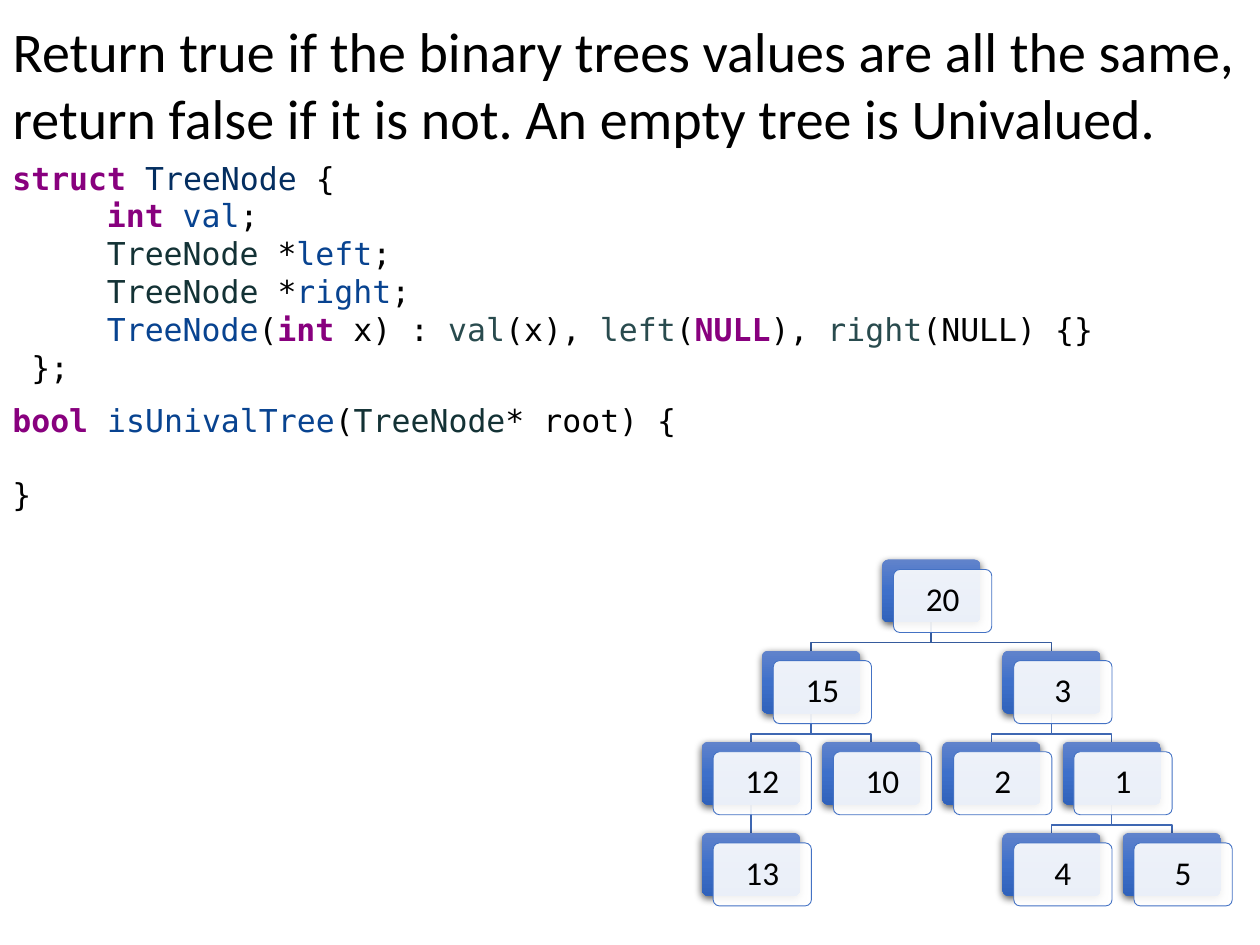
from dataclasses import dataclass
from typing import Optional

from lxml.etree import SubElement
from pptx import Presentation
from pptx.dml.color import RGBColor as RGB
from pptx.enum.shapes import MSO_CONNECTOR as CONN, MSO_SHAPE as SHAPE
from pptx.enum.text import MSO_ANCHOR as ANCHOR, MSO_AUTO_SIZE as FIT, PP_ALIGN as ALIGN
from pptx.oxml.ns import qn
from pptx.util import Inches, Pt


@dataclass(frozen=True)
class Theme:
    body: str = "Calibri"
    mono: str = "DejaVu Sans Mono"
    title_size: int = 32
    code_size: int = 18
    node_size: int = 19
    text: str = "000000"
    keyword: str = "88007E"
    struct: str = "042E60"
    name: str = "084390"
    type: str = "133235"
    init: str = "294B4E"
    card: str = "FFFFFF"
    border: str = "4472C4"
    root_link: str = "365B9D"
    link: str = "3E67B2"
    gradient: tuple = ("6183CB", "3E70CA", "3062BB")


@dataclass(frozen=True)
class Line:
    runs: tuple          # (text, theme colour) pairs
    indent: int = 0      # in characters
    before: int = 0      # in points


@dataclass(frozen=True)
class Node:
    label: str
    col: int
    row: int
    parent: Optional[int] = None


T = Theme()
# Tree grid, in inches
LEFT, TOP = 5.57, 4.44
COL, ROW = 3.34 / 7, 2.17 / 3
NODE_W, NODE_H = 0.78, 0.5
CARD_DX, CARD_DY = 0.09, 0.08
BEND = 0.16
CHAR = 0.15

STRUCT = [
    Line((("struct ", "keyword"), ("TreeNode", "struct"), (" {", "text"))),
    Line((("int ", "keyword"), ("val", "name"), (";", "text")), 5),
    Line((("TreeNode", "type"), (" *", "text"), ("left", "name"), (";", "text")), 5),
    Line((("TreeNode", "type"), (" *", "text"), ("right", "name"), (";", "text")), 5),
    Line((("TreeNode", "name"), ("(", "text"), ("int", "keyword"), (" x) : ", "text"),
          ("val", "init"), ("(x), ", "text"), ("left", "init"), ("(", "text"),
          ("NULL", "keyword"), ("), ", "text"), ("right", "init"),
          ("(NULL) {}", "text")), 5),
    Line((("};", "text"),), 1),
]
FUNCTION = [
    Line((("bool ", "keyword"), ("isUnivalTree", "name"), ("(", "text"),
          ("TreeNode", "type"), ("* root) {", "text"))),
    Line((("}", "text"),), before=21),
]
NODES = [
    Node("20", 3, 0), Node("15", 1, 1, 0), Node("12", 0, 2, 1), Node("13", 0, 3, 2),
    Node("10", 2, 2, 1), Node("3", 5, 1, 0), Node("2", 4, 2, 5), Node("1", 6, 2, 5),
    Node("4", 5, 3, 7), Node("5", 7, 3, 7),
]


def add_run(p, text: str, font: str, size: int, color: str, bold: bool = False) -> None:
    r = p.add_run()
    r.text = text
    r.font.name, r.font.size, r.font.bold = font, Pt(size), bold
    r.font.color.rgb = RGB.from_string(color)


def add_code(slide, top: float, width: float, height: float, lines: list[Line]) -> None:
    tf = slide.shapes.add_textbox(0, Inches(top), Inches(width), Inches(height)).text_frame
    tf.word_wrap = True
    for i, line in enumerate(lines):
        p = tf.paragraphs[0] if i == 0 else tf.add_paragraph()
        p.space_before = Pt(line.before)
        if line.indent:
            p._p.get_or_add_pPr().set("marL", str(Inches(line.indent * CHAR)))
        for text, role in line.runs:
            add_run(p, text, T.mono, T.code_size, getattr(T, role), role == "keyword")


def corner(node: Node) -> tuple[float, float]:
    return LEFT + node.col * COL, TOP + node.row * ROW


def add_link(slide, parent: Node, child: Node) -> None:
    (px, py), (cx, cy) = corner(parent), corner(child)
    x1, x2, y1 = px + NODE_W / 2, cx + NODE_W / 2, py + NODE_H
    if parent.col == child.col:
        sp = slide.shapes.add_connector(CONN.STRAIGHT, Inches(x1), Inches(y1),
                                        Inches(x2), Inches(cy))
        SubElement(sp._element.spPr, qn("a:effectLst"))
    else:
        path = slide.shapes.build_freeform(Inches(x1), Inches(y1))
        path.add_line_segments([(Inches(x), Inches(y)) for x, y in
                                ((x1, y1 + BEND), (x2, y1 + BEND), (x2, cy))], close=False)
        sp = path.convert_to_shape()
        sp.fill.background()
        sp.shadow.inherit = False
    sp.line.width = Pt(1)
    sp.line.color.rgb = RGB.from_string(T.link if parent.row else T.root_link)


def add_box(slide, x: float, y: float):
    sp = slide.shapes.add_shape(SHAPE.ROUNDED_RECTANGLE, Inches(x), Inches(y),
                                Inches(NODE_W), Inches(NODE_H))
    sp.adjustments[0] = 0.1
    sp.shadow.inherit = False
    return sp


def add_color(parent, color: str, alpha: Optional[int] = None) -> None:
    clr = SubElement(parent, qn("a:srgbClr"), val=color)
    if alpha is not None:
        SubElement(clr, qn("a:alpha"), val=str(alpha * 1000))


def add_node(slide, node: Node) -> None:
    x, y = corner(node)
    # Shaded back plate
    back = add_box(slide, x, y)
    back.line.fill.background()
    back.fill.gradient()
    back.fill.gradient_angle = 270
    spPr = back._element.spPr
    stops = spPr.find(".//" + qn("a:gsLst"))
    for stop in list(stops):
        stops.remove(stop)
    for i, color in enumerate(T.gradient):
        add_color(SubElement(stops, qn("a:gs"), pos=str(i * 50000)), color)
    shadow = SubElement(spPr.find(qn("a:effectLst")), qn("a:outerShdw"),
                        blurRad=str(Pt(4.5)), dist=str(Pt(1.5)), dir="5400000",
                        algn="ctr", rotWithShape="0")
    add_color(shadow, T.text, 63)
    # Translucent card with the value
    card = add_box(slide, x + CARD_DX, y + CARD_DY)
    card.fill.solid()
    card.fill.fore_color.rgb = RGB.from_string(T.card)
    clr = card._element.spPr.find(qn("a:solidFill"))[0]
    SubElement(clr, qn("a:alpha"), val="90000")
    card.line.color.rgb = RGB.from_string(T.border)
    card.line.width = Pt(0.5)
    tf = card.text_frame
    tf.margin_left = tf.margin_right = tf.margin_top = tf.margin_bottom = Inches(0.08)
    tf.vertical_anchor = ANCHOR.MIDDLE
    p = tf.paragraphs[0]
    p.alignment, p.line_spacing = ALIGN.CENTER, 0.9
    add_run(p, node.label, T.body, T.node_size, T.text)


def main() -> None:
    prs = Presentation()
    prs.slide_width, prs.slide_height = Inches(10), Inches(7.5)
    slide = prs.slides.add_slide(prs.slide_layouts[5])

    # Tree: links behind the nodes
    for node in NODES:
        if node.parent is not None:
            add_link(slide, NODES[node.parent], node)
    for node in NODES:
        add_node(slide, node)

    # Task statement
    title = slide.shapes.title
    title.left, title.top = 0, Inches(0.08)
    title.width, title.height = prs.slide_width, Inches(1.18)
    tf = title.text_frame
    tf.word_wrap, tf.auto_size, tf.vertical_anchor = True, FIT.NONE, ANCHOR.TOP
    p = tf.paragraphs[0]
    p.alignment = ALIGN.LEFT
    add_run(p, "Return true if the binary trees values are all the same, "
               "return false if it is not. An empty tree is Univalued.",
            T.body, T.title_size, T.text)

    # Code
    add_code(slide, 1.21, 8.9, 1.92, STRUCT)
    add_code(slide, 3.13, 5.54, 1.01, FUNCTION)
    prs.save("out.pptx")


main()
